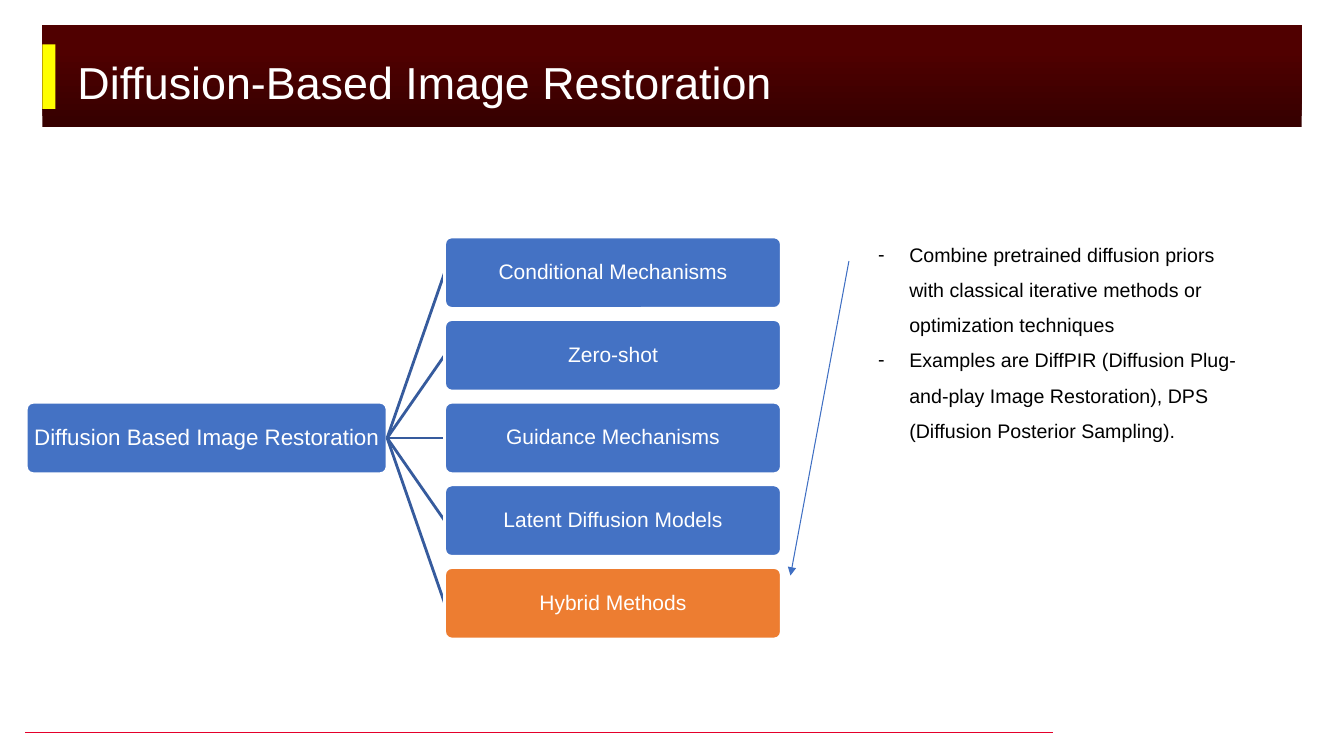
from lxml import etree
from pptx import Presentation
from pptx import util as u
from pptx.dml.color import RGBColor
from pptx.enum import shapes, text
from pptx.oxml.ns import qn

COLORS = {
    "white": "FFFFFF", "black": "000000", "maroon": "500000", "dark": "370000",
    "yellow": "FFFF00", "red": "E4002B", "blue": "4472C4", "orange": "ED7D31",
    "branch": "365B9D", "arrow": "3F6FC3",
}
FONT = "Arial"
METHODS = ["Conditional Mechanisms", "Zero-shot", "Guidance Mechanisms",
           "Latent Diffusion Models", "Hybrid Methods"]
NOTES = [
    "Combine pretrained diffusion priors with classical iterative methods or "
    "optimization techniques",
    "Examples are DiffPIR (Diffusion Plug-and-play Image Restoration), DPS "
    "(Diffusion Posterior Sampling).",
]


def color(name):
    """Return the named colour of the palette."""
    return RGBColor.from_string(COLORS[name])


def write(shape, paragraphs, size, fill="white", align=text.PP_ALIGN.LEFT,
          anchor=text.MSO_ANCHOR.MIDDLE, spacing=1.0, margins=(0.1, 0.05), bullet=None):
    """Fill a shape with formatted paragraphs."""
    frame = shape.text_frame
    frame.word_wrap = True
    frame.vertical_anchor = anchor
    frame.margin_left = frame.margin_right = u.Inches(margins[0])
    frame.margin_top = frame.margin_bottom = u.Inches(margins[1])
    for index, content in enumerate(paragraphs):
        paragraph = frame.add_paragraph() if index else frame.paragraphs[0]
        paragraph.alignment = align
        paragraph.line_spacing = spacing
        if bullet:
            properties = paragraph._p.get_or_add_pPr()
            indent = u.Inches(0.31)
            properties.set("marL", str(indent))
            properties.set("indent", str(-indent))
            etree.SubElement(properties, qn("a:buFont")).set("typeface", FONT)
            etree.SubElement(properties, qn("a:buChar")).set("char", bullet)
        run = paragraph.add_run()
        run.text = content
        run.font.name = FONT
        run.font.size = u.Pt(size)
        run.font.color.rgb = color(fill)


def add_box(slide, kind, box, fill, border=None):
    """Add a filled preset shape, with a border if a colour is given."""
    shape = slide.shapes.add_shape(kind, *map(u.Inches, box))
    shape.shadow.inherit = False
    shape.fill.solid()
    shape.fill.fore_color.rgb = color(fill)
    if border:
        shape.line.color.rgb = color(border)
        shape.line.width = u.Pt(2)
    else:
        shape.line.fill.background()
    return shape


def add_line(slide, start, end, stroke, width, arrow=False):
    """Add a straight line, with an arrowhead at its end if wanted."""
    line = slide.shapes.add_connector(
        shapes.MSO_CONNECTOR.STRAIGHT, *map(u.Inches, (*start, *end)))
    line.line.color.rgb = color(stroke)
    line.line.width = u.Pt(width)
    if arrow:
        etree.SubElement(line.line._get_or_add_ln(), qn("a:tailEnd")).set("type", "triangle")
    etree.SubElement(line._element.spPr, qn("a:effectLst"))
    return line


def add_header(slide, left, top, width, height):
    """Draw the title band with its accent bar and title."""
    rectangle = shapes.MSO_SHAPE.RECTANGLE
    band = add_box(slide, rectangle, (left, top, width, height), "maroon")
    band.fill.gradient()
    band.fill.gradient_angle = 90
    stops = band.fill.gradient_stops
    for stop, position, name in zip(stops, (0.05, 0.76), ("dark", "maroon")):
        stop.position = position
        stop.color.rgb = color(name)
    add_box(slide, rectangle, (left, top + 0.19, 0.13, 0.64), "yellow")
    title = slide.shapes.add_textbox(
        *map(u.Inches, (left + 0.25, top - 0.07, 12, 1.25)))
    write(title, ["Diffusion-Based Image Restoration"], 32)


def add_node(slide, box, label, size, fill="blue"):
    """Draw one labelled node of the tree."""
    node = add_box(slide, shapes.MSO_SHAPE.ROUNDED_RECTANGLE, box, fill, "white")
    node.adjustments[0] = 0.1
    write(node, [label], size, align=text.PP_ALIGN.CENTER, spacing=0.9,
          margins=(0.01, 0.01))
    return node


def add_tree(slide, left, top, width, height):
    """Draw the root and its methods, the last one highlighted."""
    node_height, root_width, method_width = 0.71, 3.58, 3.34
    method_left = left + width - method_width
    pitch = (height - node_height) / (len(METHODS) - 1)
    root_top = top + (height - node_height) / 2
    root = add_node(slide, (left, root_top, root_width, node_height),
                    "Diffusion Based Image Restoration", 16)
    for index, label in enumerate(METHODS):
        method_top = top + index * pitch
        branch = add_line(slide, (left + root_width, root_top + node_height / 2),
                          (method_left, method_top + node_height / 2), "branch", 2)
        fill = "orange" if label == METHODS[-1] else "blue"
        method = add_node(slide, (method_left, method_top, method_width, node_height),
                          label, 15, fill)
        branch.begin_connect(root, 3)
        branch.end_connect(method, 1)


def add_notes(slide, left, top, width, height):
    """Write the bullets and point from them to the highlighted method."""
    notes = slide.shapes.add_textbox(*map(u.Inches, (left, top, width, height)))
    write(notes, NOTES, 14, "black", anchor=text.MSO_ANCHOR.TOP, spacing=1.5, bullet="-")
    add_line(slide, (left - 0.19, top + 0.35), (left - 0.77, top + 3.47),
             "arrow", 0.75, arrow=True)


def main():
    """Build and save the slide."""
    presentation = Presentation()
    presentation.slide_width = u.Inches(13.33)
    presentation.slide_height = u.Inches(7.5)
    slide = presentation.slides.add_slide(presentation.slide_layouts[6])
    add_line(slide, (0.25, 7.27), (10.44, 7.27), "red", 1)
    add_header(slide, 0.42, 0.25, 12.49, 1.01)
    add_tree(slide, 0.26, 2.35, 7.49, 3.99)
    add_notes(slide, 8.61, 2.24, 3.78, 2.18)
    presentation.save("out.pptx")


if __name__ == "__main__":
    main()
